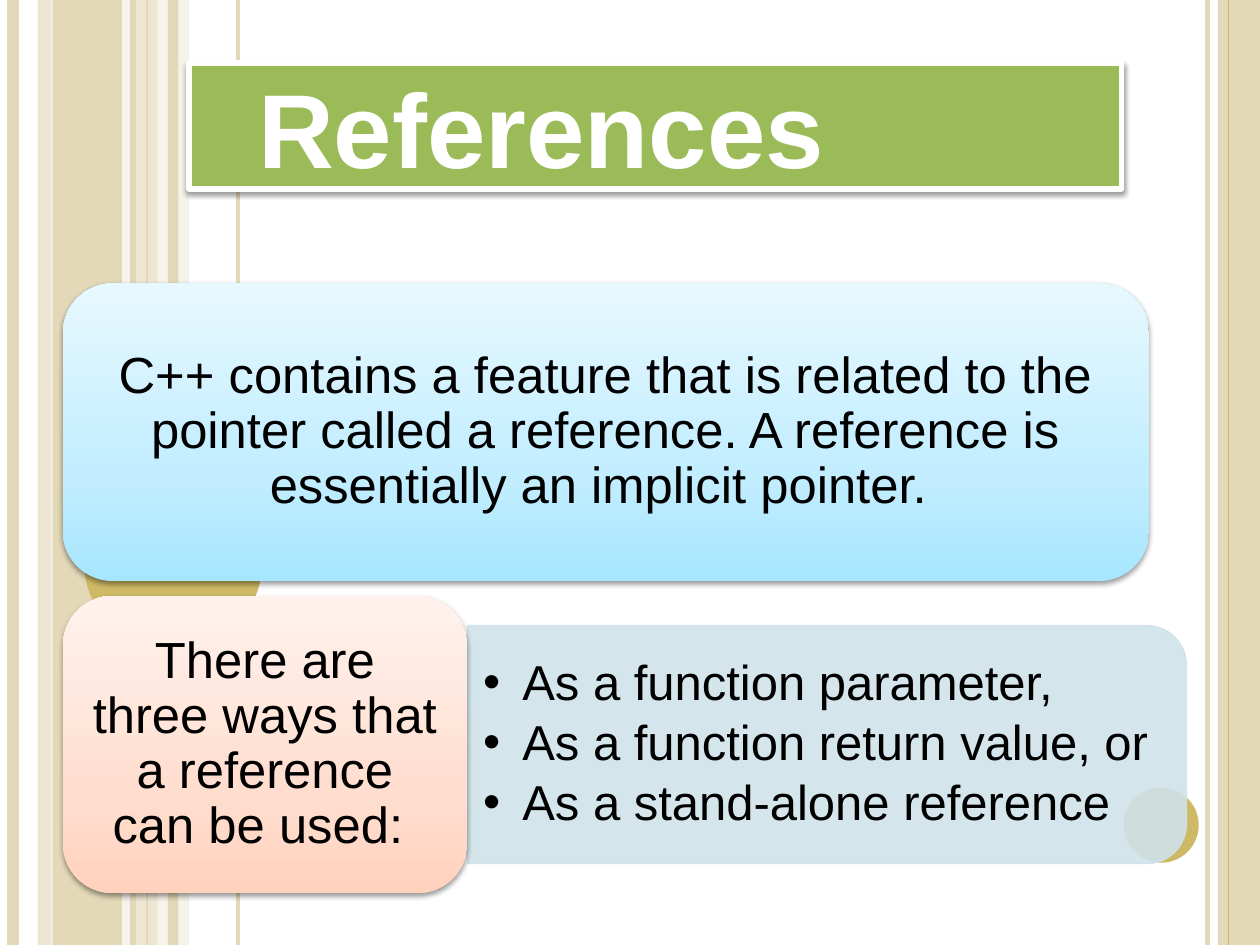
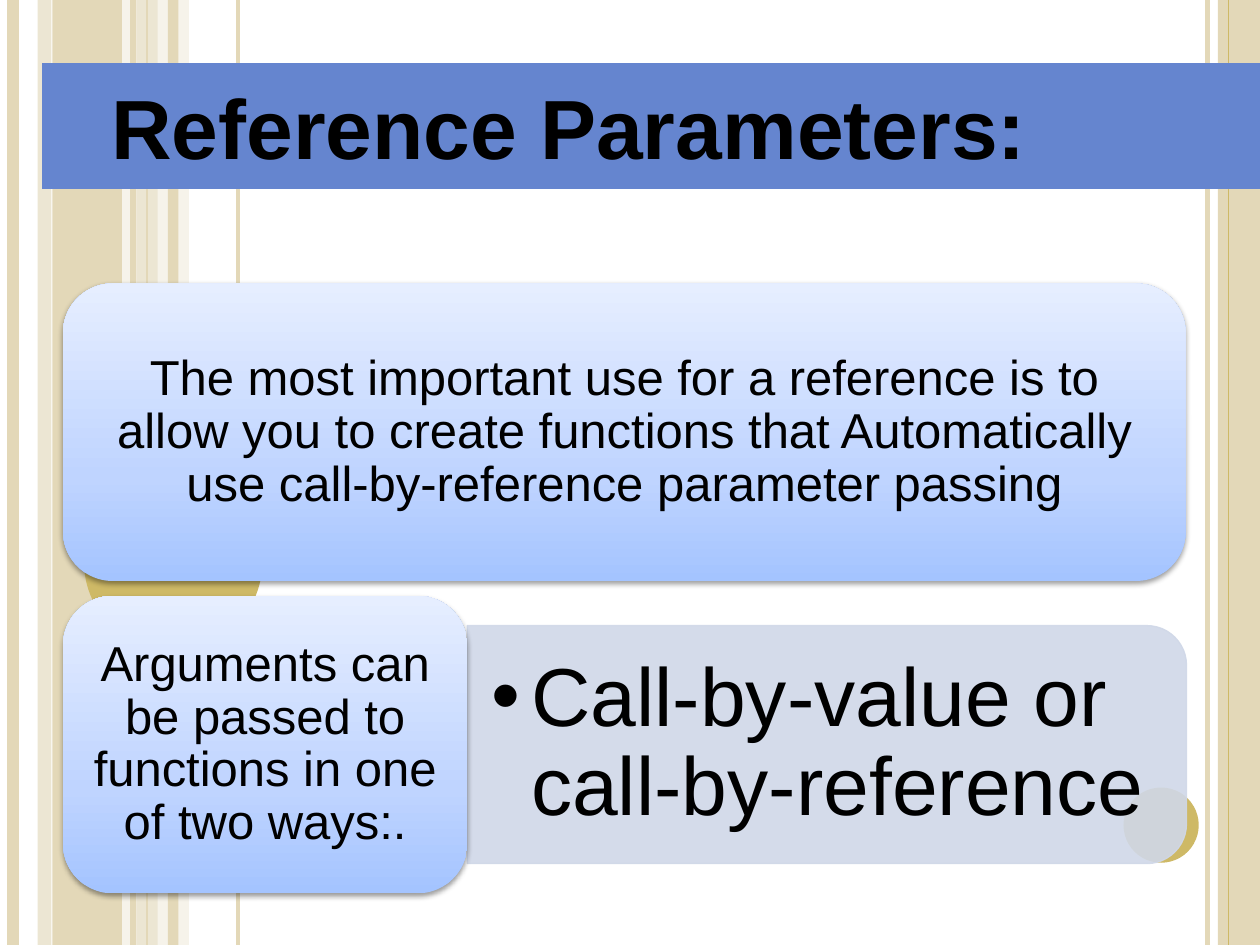
import pptx
import pptx.util
import pptx.dml.color
import pptx.enum.shapes
import pptx.enum.text
import pptx.oxml
import pptx.oxml.ns
from dataclasses import dataclass

Pt = pptx.util.Pt
SHAPE = pptx.enum.shapes.MSO_SHAPE
ALIGN = pptx.enum.text.PP_ALIGN
ANCHOR = pptx.enum.text.MSO_ANCHOR


@dataclass(frozen=True)
class Theme:
    font: str = "Arial"
    text: str = "000000"
    white: str = "FFFFFF"
    gold: str = "CEB966"
    sand: str = "E3D8B8"
    cream: str = "ECE6D3"
    ivory: str = "F6F3EA"
    green: str = "9BBB59"
    blue: str = "6585CF"
    sky: tuple = ("A7E6FF", "C1EDFF", "E7F8FF")
    peach: tuple = ("FFD2BD", "FFDED0", "FFF2ED")
    periwinkle: tuple = ("A4C4FF", "BFD4FF", "E6EEFF")
    panel_teal: str = "D0E3EA"
    panel_blue: str = "D0D8E8"
    title_large: int = 60
    title_small: int = 48
    card_large: int = 29
    card_small: int = 28
    list_small: int = 28
    list_large: int = 47


T = Theme()

SLIDES = [
    dict(
        title="References", title_box=(108, 533), title_size=T.title_large,
        title_color=T.white, banner=T.green, raised=True,
        statement="C++ contains a feature that is related to the pointer called a reference. "
                  "A reference is essentially an implicit pointer. ",
        statement_width=620.5, statement_tones=T.sky,
        lead="There are three ways that a reference can be used: ",
        lead_tones=T.peach, card_size=T.card_large,
        ways=["As a function parameter,", "As a function return value, or",
              "As a stand-alone reference"],
        ways_size=T.list_small, ways_inset=9, panel=T.panel_teal,
    ),
    dict(
        title="Reference Parameters:", title_box=(24, 696), title_size=T.title_small,
        title_color=T.text, banner=T.blue, raised=False,
        statement="The most important use for a reference is to allow you to create functions "
                  "that Automatically use call-by-reference parameter passing",
        statement_width=641.5, statement_tones=T.periwinkle,
        lead="Arguments can be passed to functions in one of two ways:.",
        lead_tones=T.periwinkle, card_size=T.card_small,
        ways=["Call-by-value or call-by-reference"],
        ways_size=T.list_large, ways_inset=14, panel=T.panel_blue,
    ),
]

STRIPES = [
    ("line", 690, 3, T.sand), ("line", 6, 4.5, T.sand), ("line", 708, 1.5, T.gold),
    ("band", 696, 24, T.sand), ("line", 702, 0.75, T.gold), ("band", 30, 48, T.sand),
    ("band", 21.5, 8, T.cream), ("band", 78, 14.5, T.cream), ("band", 90, 18, T.ivory),
    ("line", 8.5, 4.5, T.sand), ("line", 72, 4.5, T.ivory), ("line", 67, 4.5, T.sand),
    ("line", 136, 2.25, T.sand), ("line", 84, 0.75, T.sand), ("line", 718, 4.5, T.sand),
    ("band", 96, 6, T.sand),
]
DISCS = [(642, 450, 43), (48, 270, 102), (103, 383, 50.5), (85.5, 433.5, 11),
         (131, 456, 21.5), (150, 354, 29)]

PAGE_W, PAGE_H = 720, 540
TITLE_TOP, TITLE_H = 36, 72
CARD_LEFT, CARD_TOP, CARD_H, CARD_GAP = 36, 162, 170, 8.5
LEAD_TOP = CARD_TOP + CARD_H + CARD_GAP
LEAD_W = 231
PANEL_LEFT, PANEL_W, PANEL_H = CARD_LEFT + LEAD_W, 411, 136
WAYS_W, WAYS_H = 404, 122.5
HANGING = 22.5
GRADIENT_STOPS = (0, 35, 100)


def rgb(code):
    return pptx.dml.color.RGBColor.from_string(code)


def xml(tag, attributes="", inner=""):
    return pptx.oxml.parse_xml(
        f'<a:{tag} {pptx.oxml.ns.nsdecls("a")} {attributes}>{inner}</a:{tag}>')


def place(shape, left, top, width, height):
    shape.left, shape.top = Pt(left), Pt(top)
    shape.width, shape.height = Pt(width), Pt(height)


def add_plain(slide, preset, box, color=None):
    shape = slide.shapes.add_shape(preset, *map(Pt, box))
    shape.shadow.inherit = False
    shape.line.fill.background()
    if color:
        shape.fill.solid()
        shape.fill.fore_color.rgb = rgb(color)
    return shape


def raise_shape(shape):
    shape.shadow.inherit = False
    effects = shape.element.spPr.find(pptx.oxml.ns.qn("a:effectLst"))
    effects.append(xml(
        "outerShdw",
        f'blurRad="{Pt(3.1)}" dist="{Pt(1.6)}" dir="5400000" rotWithShape="0"',
        '<a:srgbClr val="000000"><a:alpha val="38000"/></a:srgbClr>'))


def fill_gradient(shape, tones):
    shape.fill.gradient()
    shape.fill.gradient_angle = 90
    stops = shape.element.spPr.find(".//" + pptx.oxml.ns.qn("a:gsLst"))
    for stop in list(stops):
        stops.remove(stop)
    for position, tone in zip(GRADIENT_STOPS, tones):
        stops.append(xml("gs", f'pos="{position * 1000}"', f'<a:srgbClr val="{tone}"/>'))


def write(shape, paragraphs, size, color, insets, align, spacing=1.0, bold=False):
    frame = shape.text_frame
    frame.text = "\n".join(paragraphs)
    frame.word_wrap = True
    frame.auto_size = pptx.enum.text.MSO_AUTO_SIZE.NONE
    frame.vertical_anchor = ANCHOR.MIDDLE
    (frame.margin_left, frame.margin_top,
     frame.margin_right, frame.margin_bottom) = map(Pt, insets)
    for paragraph in frame.paragraphs:
        paragraph.alignment = align
        paragraph.line_spacing = spacing
        paragraph.space_before = Pt(0)
        for run in paragraph.runs:
            run.font.name = T.font
            run.font.size = Pt(size)
            run.font.bold = bold
            run.font.color.rgb = rgb(color)


def add_stripe(slide, kind, x, thickness, color):
    if kind == "band":
        return add_plain(slide, SHAPE.RECTANGLE, (x, 0, thickness, PAGE_H), color)
    stripe = slide.shapes.add_connector(
        pptx.enum.shapes.MSO_CONNECTOR.STRAIGHT, Pt(x), Pt(0), Pt(x), Pt(PAGE_H))
    stripe.line.color.rgb = rgb(color)
    stripe.line.width = Pt(thickness)
    stripe.element.spPr.append(xml("effectLst"))
    return stripe


def decorate_master(master, slide):
    decor = [add_stripe(slide, *stripe) for stripe in STRIPES]
    decor += [add_plain(slide, SHAPE.OVAL, (x, y, size, size), T.gold)
              for x, y, size in DISCS]
    for order, ornament in enumerate(decor):
        ornament.element.xpath(".//p:cNvPr")[0].set("id", str(100 + order))
        master.shapes.element.insert(2 + order, ornament.element)


def shape_title(title, content):
    left, width = content["title_box"]
    place(title, left, TITLE_TOP, width, TITLE_H)
    title.element.spPr.append(xml(
        "prstGeom", 'prst="chevron"', '<a:avLst><a:gd name="adj" fmla="val 50000"/></a:avLst>'))
    title.fill.solid()
    title.fill.fore_color.rgb = rgb(content["banner"])
    if content["raised"]:
        title.line.color.rgb = rgb(T.white)
        title.line.width = Pt(3)
        raise_shape(title)
    write(title, [content["title"]], content["title_size"], content["title_color"],
          (39.5, 2, 0, 2), ALIGN.LEFT, bold=True)


def add_card(slide, text, top, width, tones, size):
    card = add_plain(slide, SHAPE.ROUNDED_RECTANGLE, (CARD_LEFT, top, width, CARD_H))
    fill_gradient(card, tones)
    raise_shape(card)
    write(card, [text], size, T.text, (8.5, 4.5, 8.5, 4.5), ALIGN.CENTER, 0.9)


def add_panel(slide, color):
    middle_x, middle_y = PANEL_LEFT + PANEL_W / 2, LEAD_TOP + CARD_H / 2
    panel = add_plain(slide, SHAPE.ROUND_2_SAME_RECTANGLE,
                      (middle_x - PANEL_H / 2, middle_y - PANEL_W / 2, PANEL_H, PANEL_W), color)
    panel.rotation = 90
    panel.line.color.rgb = rgb(color)
    panel.line.width = Pt(0.75)
    for tint in panel.element.spPr.iter(pptx.oxml.ns.qn("a:srgbClr")):
        tint.append(xml("alpha", 'val="90000"'))
    return panel


def shape_ways(ways, content):
    place(ways, PANEL_LEFT, LEAD_TOP + (CARD_H - WAYS_H) / 2, WAYS_W, WAYS_H)
    side = content["ways_inset"]
    write(ways, content["ways"], content["ways_size"], T.text,
          (side, side / 2, side, side / 2), ALIGN.LEFT, 0.9)
    for paragraph in ways.text_frame.paragraphs:
        paragraph.space_after = Pt(round(content["ways_size"] * 0.15, 1))
        properties = paragraph._p.get_or_add_pPr()
        properties.set("marL", str(Pt(HANGING)))
        properties.set("indent", str(-Pt(HANGING)))


def build_slide(slide, content):
    shape_title(slide.shapes.title, content)
    add_card(slide, content["statement"], CARD_TOP, content["statement_width"],
             content["statement_tones"], content["card_size"])
    ways = slide.placeholders[1]
    shape_ways(ways, content)
    add_panel(slide, content["panel"]).element.addnext(ways.element)
    add_card(slide, content["lead"], LEAD_TOP, LEAD_W,
             content["lead_tones"], content["card_size"])


def main():
    deck = pptx.Presentation()
    deck.slide_width, deck.slide_height = Pt(PAGE_W), Pt(PAGE_H)
    slides = [deck.slides.add_slide(deck.slide_layouts[1]) for _ in SLIDES]
    decorate_master(deck.slide_master, slides[0])
    for slide, content in zip(slides, SLIDES):
        build_slide(slide, content)
    deck.save("out.pptx")


if __name__ == "__main__":
    main()
